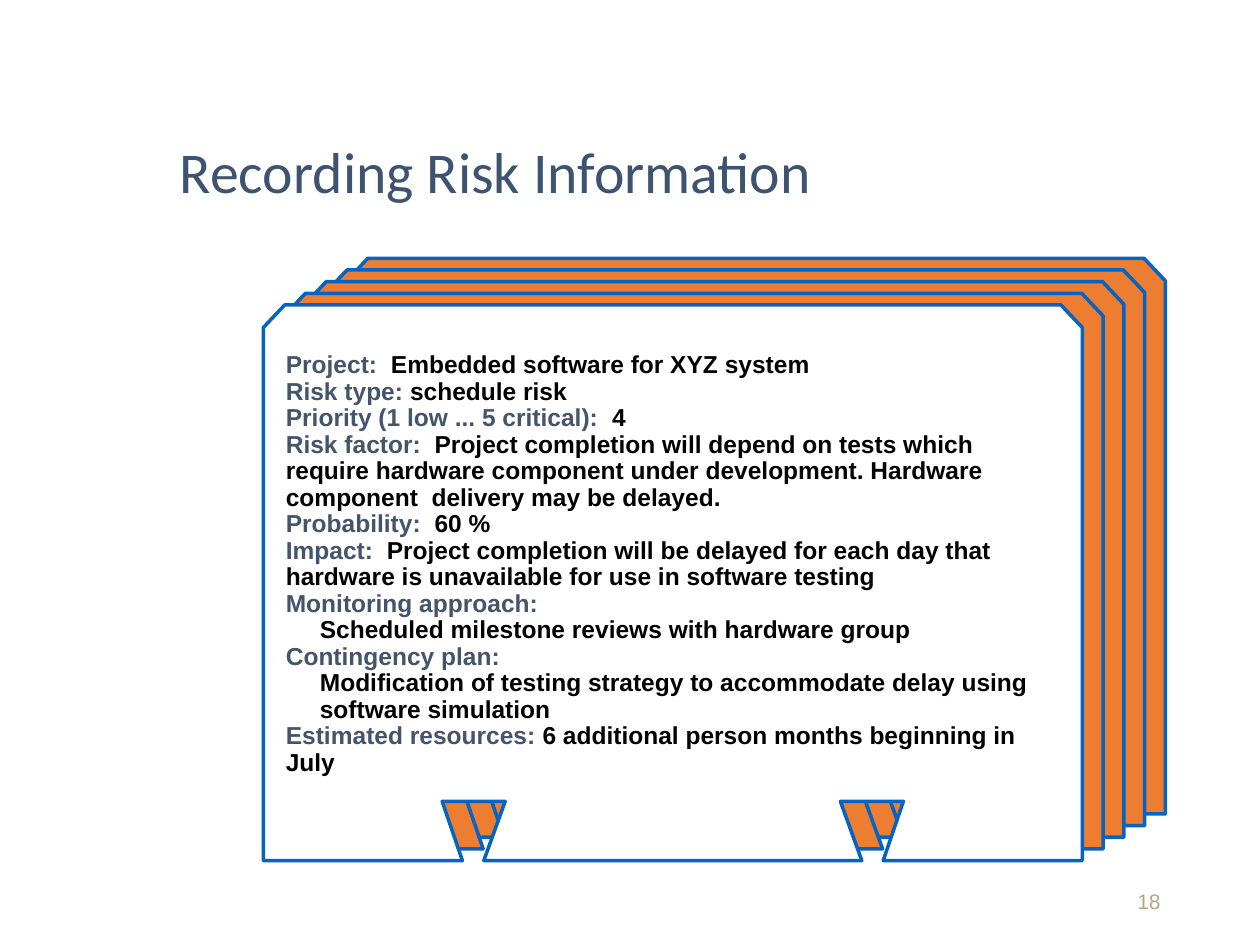
"""Build the slide 'Recording Risk Information' with a stack of risk cards."""
import pptx
import pptx.dml.color
import pptx.enum.text
import pptx.util

Inches = pptx.util.Inches
RGBColor = pptx.dml.color.RGBColor
ANCHOR = pptx.enum.text.MSO_ANCHOR
ALIGN = pptx.enum.text.PP_ALIGN

TITLE = RGBColor(0x3E, 0x53, 0x70)
NUMBER = RGBColor(0xB5, 0xA7, 0x88)
LABEL = RGBColor(0x44, 0x54, 0x6A)
BLACK = RGBColor(0, 0, 0)
WHITE = RGBColor(0xFF, 0xFF, 0xFF)
ORANGE = RGBColor(0xED, 0x7D, 0x31)
BLUE = RGBColor(0x05, 0x63, 0xC1)

CARD_COUNT = 5
CARD_OUTLINE = [
    (1.58, 4.41), (0, 4.41), (0, 0.18), (0.17, 0), (6.33, 0), (6.5, 0.18),
    (6.5, 4.41), (4.92, 4.41), (5.08, 3.94), (4.58, 3.94), (4.75, 4.41),
    (1.75, 4.41), (1.92, 3.94), (1.42, 3.94),
]
ENTRIES = [
    ("Project:", "  Embedded software for XYZ system"),
    ("Risk type:", " schedule risk"),
    ("Priority (1 low ... 5 critical):", "  4"),
    ("Risk factor:", "  Project completion will depend on tests which require hardware "
     "component under development. Hardware component  delivery may be delayed."),
    ("Probability:", "  60 %"),
    ("Impact:", "  Project completion will be delayed for each day that "
     "hardware is unavailable for use in software testing"),
    ("Monitoring approach:", ""),
    ("", "Scheduled milestone reviews with hardware group"),
    ("Contingency plan:", ""),
    ("", "Modification of testing strategy to accommodate delay using software simulation"),
    ("Estimated resources:", " 6 additional person months beginning in July"),
]

prs = pptx.Presentation()
prs.slide_width, prs.slide_height = Inches(10), Inches(7.5)
s = prs.slides.add_slide(prs.slide_layouts[6])


def add_text(paragraphs, box, size, font="Arial", bold=False, align=ALIGN.LEFT,
             anchor=ANCHOR.MIDDLE, spacing=0.9):
    """Add a text box; each paragraph is an indent and a list of (text, colour) runs."""
    tf = s.shapes.add_textbox(*map(Inches, box)).text_frame
    tf.word_wrap = True
    tf.vertical_anchor = anchor
    for i, (indent, runs) in enumerate(paragraphs):
        p = tf.add_paragraph() if i else tf.paragraphs[0]
        p.alignment = align
        p.line_spacing = spacing
        if indent:
            p._p.get_or_add_pPr().set("marL", str(Inches(indent)))
        for text, color in runs:
            r = p.add_run()
            r.text = text
            r.font.size = pptx.util.Pt(size)
            r.font.name = font
            r.font.bold = bold
            r.font.color.rgb = color


add_text([(0, [("Recording Risk Information", TITLE)])], (1.33, 1.08, 7.08, 0.62), 33,
         font="Calibri")
add_text([(0, [("18", NUMBER)])], (7.06, 6.95, 2.25, 0.4), 12, align=ALIGN.RIGHT, spacing=1.0)

for i in range(CARD_COUNT):
    left = 2.75 - 0.66 * i / (CARD_COUNT - 1)
    top = 2.05 + 0.37 * i / (CARD_COUNT - 1)
    points = [(Inches(left + x), Inches(top + y)) for x, y in CARD_OUTLINE]
    builder = s.shapes.build_freeform(*points[0])
    builder.add_line_segments(points[1:], close=True)
    sp = builder.convert_to_shape()
    sp.shadow.inherit = False
    sp.fill.solid()
    sp.fill.fore_color.rgb = WHITE if i == CARD_COUNT - 1 else ORANGE
    sp.line.color.rgb = BLUE
    sp.line.width = pptx.util.Pt(2)

entries = []
for label, value in ENTRIES:
    runs = [(text, color) for text, color in ((label, LABEL), (value, BLACK)) if text]
    entries.append((0 if label else 0.27, runs))
add_text(entries, (2.17, 2.75, 6.25, 3.9), 14, bold=True, anchor=ANCHOR.TOP)

prs.save("out.pptx")
